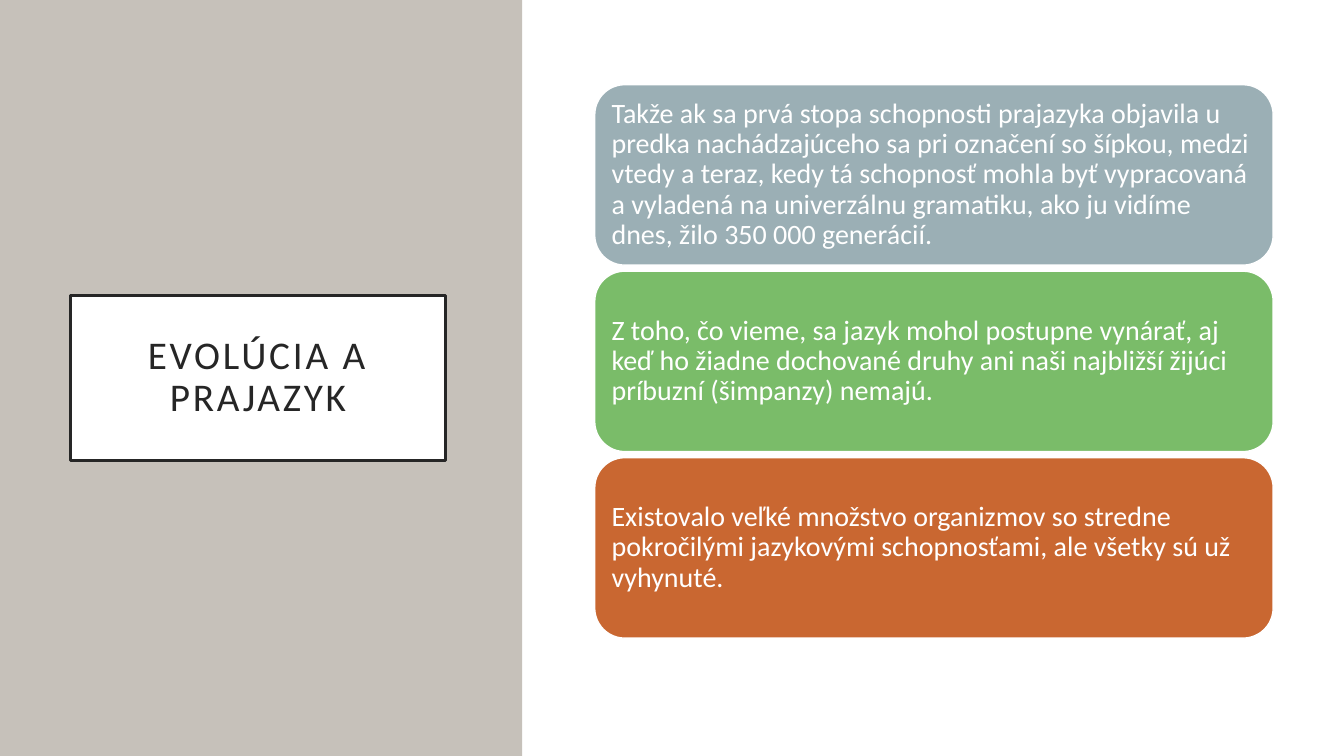
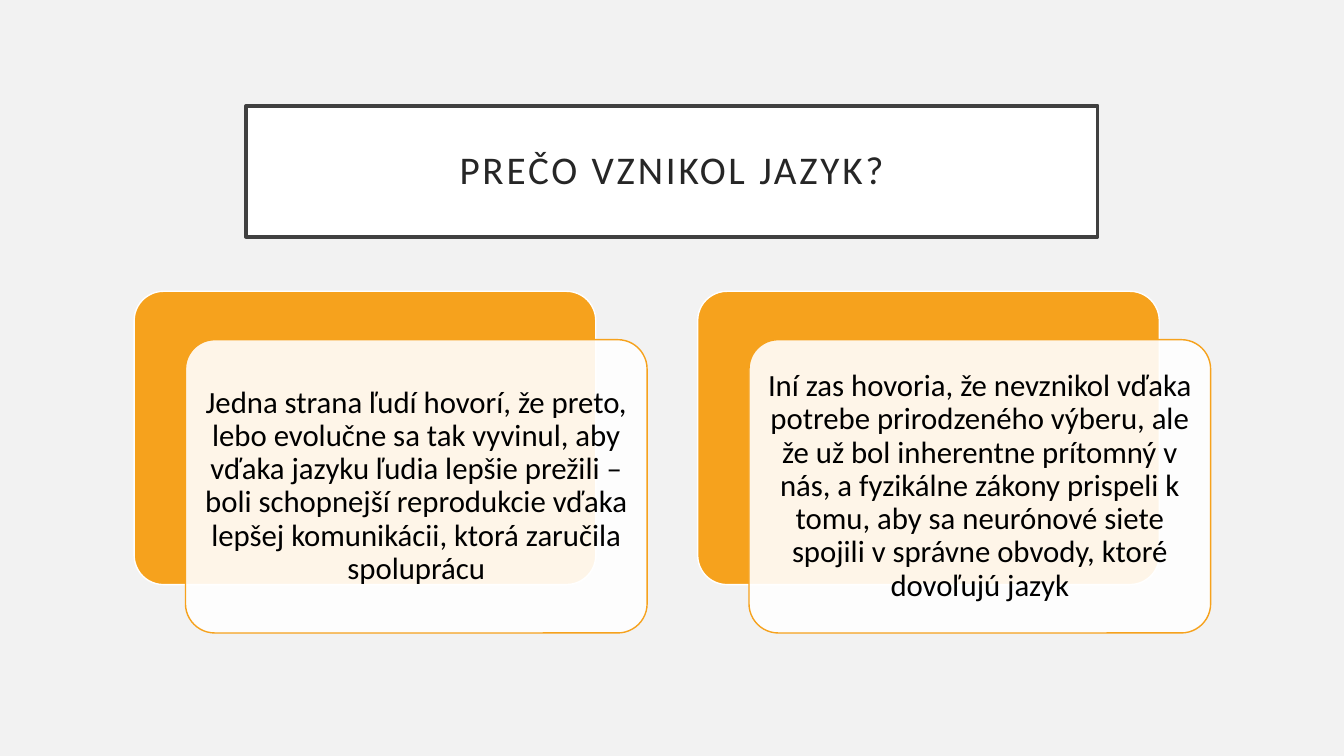
from dataclasses import dataclass, replace
from typing import Optional

from pptx import Presentation
from pptx.dml.color import RGBColor
from pptx.enum.shapes import MSO_SHAPE
from pptx.enum.text import MSO_ANCHOR, PP_ALIGN
from pptx.oxml.ns import qn
from pptx.slide import Slide
from pptx.util import Inches, Pt
from lxml import etree

RECT, ROUND = MSO_SHAPE.RECTANGLE, MSO_SHAPE.ROUNDED_RECTANGLE
LEFT, CENTER = PP_ALIGN.LEFT, PP_ALIGN.CENTER
MIDDLE = MSO_ANCHOR.MIDDLE

WHITE = RGBColor(0xFF, 0xFF, 0xFF)
BLACK = RGBColor(0x00, 0x00, 0x00)
INK = RGBColor(0x26, 0x26, 0x26)
FRAME = RGBColor(0x40, 0x40, 0x40)
PALE = RGBColor(0xF2, 0xF2, 0xF2)
STONE = RGBColor(0xC6, 0xC1, 0xBA)
SLATE = RGBColor(0x9B, 0xAF, 0xB5)
GREEN = RGBColor(0x7A, 0xBC, 0x69)
RUST = RGBColor(0xC9, 0x67, 0x31)
AMBER = RGBColor(0xF6, 0xA2, 0x1D)

FONT = "Calibri"
WIDE, HIGH = Inches(13.333), Inches(7.5)


@dataclass(frozen=True)
class Box:
    """Place and size, in percent of the slide's width and height."""
    x: float
    y: float
    w: float
    h: float

    def shift(self, dx: float = 0, dy: float = 0) -> "Box":
        """Return the same box moved by dx and dy."""
        return replace(self, x=self.x + dx, y=self.y + dy)


@dataclass(frozen=True)
class Look:
    """Outline, fill and edge of a shape."""
    fill: RGBColor
    line: Optional[RGBColor] = None
    width: float = 1
    kind: MSO_SHAPE = RECT
    curve: Optional[float] = None
    alpha: int = 100


@dataclass(frozen=True)
class Type:
    """Style of a text; inset in inches, track and size in points."""
    size: float
    color: RGBColor
    align: PP_ALIGN
    inset: float
    track: float = 0
    after: float = 0


TITLE = Type(28, INK, CENTER, 0.2, track=2)
POINT = Type(20, WHITE, LEFT, 0.08, after=7)
VIEW = Type(22, BLACK, CENTER, 0.09, after=7.7)

BAND = Box(0, 0, 38.85, 100)
PANEL = Box(39, 0, 61, 100)
SIDE = Box(5.25, 39.07, 27.9, 21.87)
HEAD = Box(18.3, 14, 63.38, 17.33)
ROW, ROW_STEP = Box(44.25, 11.2, 50.48, 23.87), 24.67
BACK, BACK_STEP = Box(9.98, 38.53, 34.35, 38.8), 41.93
FRONT_DX, FRONT_DY = 3.82, 6.4

POINTS = (
    (SLATE, "Takže ak sa prvá stopa schopnosti prajazyka objavila u predka "
            "nachádzajúceho sa pri označení so šípkou, medzi vtedy a teraz, "
            "kedy tá schopnosť mohla byť vypracovaná a vyladená na "
            "univerzálnu gramatiku, ako ju vidíme dnes, žilo 350 000 "
            "generácií."),
    (GREEN, "Z toho, čo vieme, sa jazyk mohol postupne vynárať, aj keď ho "
            "žiadne dochované druhy ani naši najbližší žijúci príbuzní "
            "(šimpanzy) nemajú."),
    (RUST, "Existovalo veľké množstvo organizmov so stredne pokročilými "
           "jazykovými schopnosťami, ale všetky sú už vyhynuté."),
)
VIEWS = (
    "Jedna strana ľudí hovorí, že preto, lebo evolučne sa tak vyvinul, aby "
    "vďaka jazyku ľudia lepšie prežili – boli schopnejší reprodukcie vďaka "
    "lepšej komunikácii, ktorá zaručila spoluprácu",
    "Iní zas hovoria, že nevznikol vďaka potrebe prirodzeného výberu, ale že "
    "už bol inherentne prítomný v nás, a fyzikálne zákony prispeli k tomu, "
    "aby sa neurónové siete spojili v správne obvody, ktoré dovoľujú jazyk",
)


def apply(item: object, form: dict) -> None:
    """Set each value of form as an attribute of item."""
    for name, value in form.items():
        setattr(item, name, value)


def write(shape, text: str, kind: Type) -> None:
    """Put one styled paragraph in a shape."""
    frame = shape.text_frame
    sides = ("left", "top", "right", "bottom")
    apply(frame, {"word_wrap": True, "vertical_anchor": MIDDLE}
          | {f"margin_{side}": Inches(kind.inset) for side in sides})
    para = frame.paragraphs[0]
    apply(para, {"alignment": kind.align, "line_spacing": 0.9,
                 "space_after": Pt(kind.after)})
    run = para.add_run()
    run.text = text
    apply(run.font, {"name": FONT, "size": Pt(kind.size)})
    run.font.color.rgb = kind.color
    if kind.track:
        run.font._element.set("spc", str(int(kind.track * 100)))


def draw(slide: Slide, box: Box, look: Look, text: str = "",
         kind: Type = TITLE) -> None:
    """Draw a shape, with text if there is any."""
    shape = slide.shapes.add_shape(
        look.kind, int(WIDE * box.x / 100), int(HIGH * box.y / 100),
        int(WIDE * box.w / 100), int(HIGH * box.h / 100))
    shape.shadow.inherit = False
    if look.curve is not None:
        shape.adjustments[0] = look.curve
    shape.fill.solid()
    shape.fill.fore_color.rgb = look.fill
    if look.alpha < 100:
        color = shape._element.spPr.find(qn("a:solidFill"))[0]
        etree.SubElement(color, qn("a:alpha"), val=str(look.alpha * 1000))
    if look.line is None:
        shape.line.fill.background()
    else:
        shape.line.color.rgb = look.line
        shape.line.width = Pt(look.width)
    if text:
        write(shape, text, kind)


def start(deck, color: RGBColor) -> Slide:
    """Add a blank slide with a plain background."""
    slide = deck.slides.add_slide(deck.slide_layouts[6])
    slide.background.fill.solid()
    slide.background.fill.fore_color.rgb = color
    return slide


def title(slide: Slide, box: Box, edge: RGBColor, text: str) -> None:
    """Draw the framed title."""
    draw(slide, box, Look(WHITE, edge, 2.5), text)


def origin(deck) -> None:
    """Build the slide with a side band and stacked points."""
    slide = start(deck, WHITE)
    draw(slide, BAND, Look(STONE))
    title(slide, SIDE, INK, "EVOLÚCIA A PRAJAZYK")
    draw(slide, PANEL, Look(WHITE))
    for i, (color, text) in enumerate(POINTS):
        draw(slide, ROW.shift(dy=i * ROW_STEP),
             Look(color, WHITE, kind=ROUND), text, POINT)


def reason(deck) -> None:
    """Build the slide with two views side by side."""
    slide = start(deck, PALE)
    title(slide, HEAD, FRAME, "PREČO VZNIKOL JAZYK?")
    rear = Look(AMBER, WHITE, kind=ROUND, curve=0.1)
    front = replace(rear, fill=WHITE, line=AMBER, alpha=90)
    for i, text in enumerate(VIEWS):
        box = BACK.shift(dx=i * BACK_STEP)
        draw(slide, box, rear)
        draw(slide, box.shift(FRONT_DX, FRONT_DY), front, text, VIEW)


def main() -> None:
    """Build and save the deck."""
    deck = Presentation()
    apply(deck, {"slide_width": WIDE, "slide_height": HIGH})
    origin(deck)
    reason(deck)
    deck.save("out.pptx")


main()
